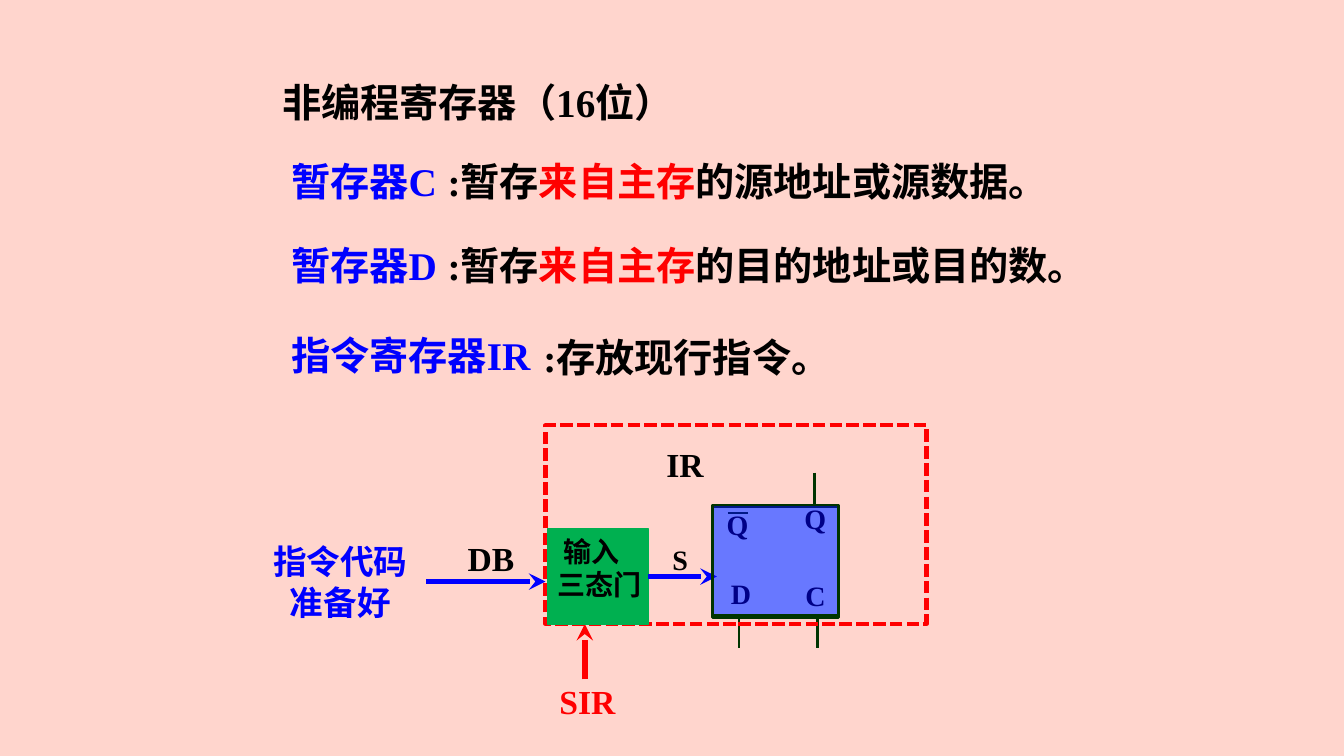
import pptx
import pptx.dml.color
import pptx.enum.dml
import pptx.enum.shapes
import pptx.enum.text
import pptx.oxml
import pptx.oxml.ns
import pptx.util

Inches = pptx.util.Inches
ALIGN = pptx.enum.text.PP_ALIGN
COLORS = {
    "background": "FFD5CD", "black": "000000", "blue": "0000FF", "red": "FF0000",
    "outline": "003400", "cyan": "DDFFFF", "green": "00B050",
}


def color(name):
    """Return the palette colour with this name."""
    return pptx.dml.color.RGBColor.from_string(COLORS[name])


def write(frame, paragraphs, size=28, font="Times New Roman", align=ALIGN.LEFT, wrap=True):
    """Fill a text frame with paragraphs, each a list of (text, colour) spans."""
    frame.word_wrap = wrap
    frame.vertical_anchor = pptx.enum.text.MSO_ANCHOR.TOP
    for index, spans in enumerate(paragraphs):
        para = frame.add_paragraph() if index else frame.paragraphs[0]
        para.alignment = align
        for text, name in spans:
            span = para.add_run()
            span.text = text
            span.font.name = font
            span.font.size = pptx.util.Pt(size)
            span.font.bold = True
            span.font.color.rgb = color(name)


def add_text(page, left, top, width, height, *paragraphs, **options):
    """Place a text box holding the given paragraphs."""
    box = page.shapes.add_textbox(Inches(left), Inches(top), Inches(width), Inches(height))
    write(box.text_frame, paragraphs, **options)
    return box


def add_box(page, left, top, width, height, fill=None, line="outline", weight=2, alpha=None):
    """Draw a rectangle with an optional fill and opacity in percent."""
    box = page.shapes.add_shape(
        pptx.enum.shapes.MSO_SHAPE.RECTANGLE,
        Inches(left), Inches(top), Inches(width), Inches(height))
    box.shadow.inherit = False
    box.line.color.rgb = color(line)
    box.line.width = pptx.util.Pt(weight)
    if fill is None:
        box.fill.background()
    else:
        box.fill.solid()
        box.fill.fore_color.rgb = color(fill)
    if alpha is not None:
        shade = box.fill._xPr.find(".//" + pptx.oxml.ns.qn("a:srgbClr"))
        pptx.oxml.ns.qn("a:alpha")
        mark = pptx.oxml.parse_xml(
            f'<a:alpha {pptx.oxml.ns.nsdecls("a")} val="{alpha * 1000}"/>')
        shade.append(mark)
    return box


def add_line(page, x1, y1, x2, y2, name="outline", weight=2, arrow=False):
    """Draw a straight line, with a stealth head at its end for an arrow."""
    line = page.shapes.add_connector(
        pptx.enum.shapes.MSO_CONNECTOR.STRAIGHT,
        Inches(x1), Inches(y1), Inches(x2), Inches(y2))
    line.line.color.rgb = color(name)
    line.line.width = pptx.util.Pt(weight)
    space = pptx.oxml.ns.nsdecls("a")
    if arrow:
        line.line._get_or_add_ln().append(
            pptx.oxml.parse_xml(f'<a:tailEnd {space} type="stealth"/>'))
    line._element.spPr.append(pptx.oxml.parse_xml(f"<a:effectLst {space}/>"))
    return line


def draw_definitions(page, left, top):
    """Write the heading and the three register definitions."""
    add_text(page, left - 0.09, top, 6.74, 0.57, [("非编程寄存器（16位）", "black")])
    source = [(":暂存", "black"), ("来自主存", "red")]
    rows = [
        ("暂存器C", 0.78, 1.55, 0.78, 6.42, source + [("的源地址或源数据。", "black")]),
        ("暂存器D", 1.61, 1.55, 1.61, 6.42, source + [("的目的地址或目的数。", "black")]),
        ("指令寄存器IR", 2.51, 2.5, 2.53, 3.21, [(":存放现行指令。", "black")]),
    ]
    for term, term_drop, shift, drop, width, meaning in rows:
        add_text(page, left, top + term_drop, shift + 0.5, 0.57, [(term, "blue")])
        add_text(page, left + shift, top + drop, width, 0.57, meaning)


def draw_signals(page, left, top):
    """Draw the DB and SIR inputs, relative to the register frame's corner."""
    add_line(page, left - 1.18, top + 1.55, left, top + 1.55, "blue", 4, arrow=True)
    add_text(page, left - 0.87, top + 1.07, 0.67, 0.5, [("DB", "black")], size=24, wrap=False)
    add_line(page, left + 0.39, top + 2.52, left + 0.39, top + 1.97, "red", 4, arrow=True)
    add_text(page, left + 0.04, top + 2.49, 0.76, 0.5, [("SIR", "red")], size=24, wrap=False)
    add_text(page, left - 2.81, top + 1.1, 1.55, 0.91,
             [("指令代码", "blue")], [("准备好", "blue")],
             size=24, align=ALIGN.CENTER, wrap=False)


def draw_flip_flop(page, left, top):
    """Draw the flip-flop body with its pin letters and leads."""
    add_box(page, left, top, 1.25, 1.1, "cyan")
    pins = [("S", -0.5, 0.3), ("D", 0.08, 0.64), ("C", 0.82, 0.66),
            ("Q", 0.81, -0.1), ("Q", 0.04, -0.04)]
    for letter, shift, drop in pins:
        add_text(page, left + shift, top + drop, 0.54, 0.38, [(letter, "black")], size=20)
    add_line(page, left + 0.15, top + 0.06, left + 0.35, top + 0.06, weight=1.5)
    for shift, start, end in [(1.01, -0.34, 0), (0.26, 1.1, 1.4), (1.04, 1.1, 1.4)]:
        add_line(page, left + shift, top + start, left + shift, top + end)


def draw_register(page, left, top):
    """Draw the dashed IR frame with its input gate and flip-flop."""
    draw_flip_flop(page, left + 1.66, top + 0.81)
    frame = add_box(page, left, top, 3.78, 1.97, line="red", weight=3)
    frame.line.dash_style = pptx.enum.dml.MSO_LINE.SQUARE_DOT
    add_text(page, left + 1.1, top + 0.13, 0.58, 0.5, [("IR", "black")], size=24, wrap=False)
    gate = add_box(page, left + 0.02, top + 1.03, 1, 0.94, "green", "green", 1)
    write(gate.text_frame, [[(" 输入", "black")], [("三态门", "black")]],
          size=20, font="Noto Sans CJK SC", align=ALIGN.JUSTIFY, wrap=False)
    arrow = add_line(page, left + 1.02, top + 1.5, left + 1.7, top + 1.5, "blue", 4, arrow=True)
    arrow.begin_connect(gate, 3)
    add_box(page, left + 1.66, top + 0.79, 1.25, 1.1, "blue", alpha=53)


def main():
    """Build the slide and save it."""
    deck = pptx.Presentation()
    deck.slide_width = Inches(13.33)
    deck.slide_height = Inches(7.5)
    page = deck.slides.add_slide(deck.slide_layouts[6])
    page.background.fill.solid()
    page.background.fill.fore_color.rgb = color("background")
    draw_definitions(page, 2.79, 0.73)
    draw_signals(page, 5.41, 4.22)
    draw_register(page, 5.41, 4.22)
    deck.save("out.pptx")


if __name__ == "__main__":
    main()
